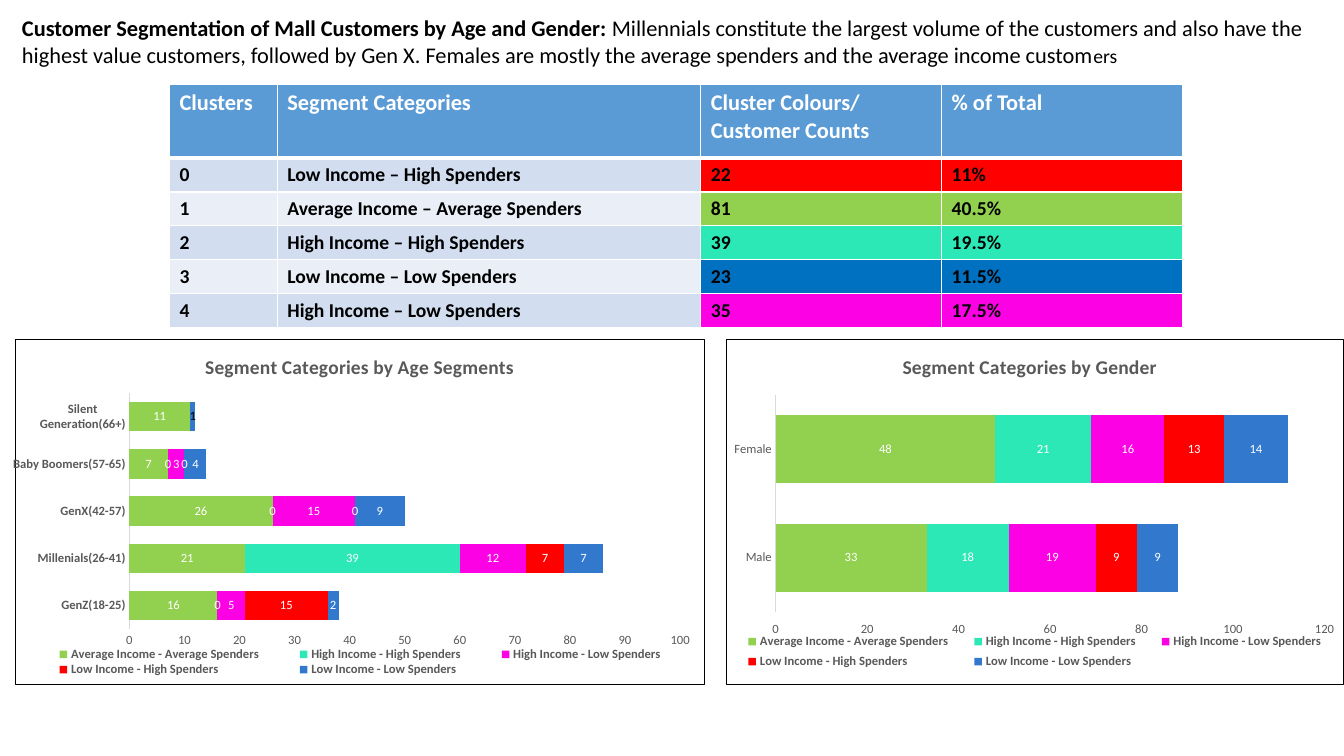
from dataclasses import dataclass

from pptx import Presentation
from pptx import util as u
from pptx.chart.data import CategoryChartData
from pptx.dml.color import RGBColor
from pptx.enum import chart as ch, text
from pptx.oxml import parse_xml
from pptx.oxml.ns import nsdecls, qn


@dataclass(frozen=True)
class Theme:
    font: str = "Calibri"
    black: str = "000000"
    white: str = "FFFFFF"
    grey: str = "595959"
    axis: str = "D9D9D9"
    header: str = "5B9BD5"
    bands: tuple = ("D2DEEF", "EAEFF7")
    green: str = "92D050"
    teal: str = "2CE8B7"
    pink: str = "FD01E5"
    red: str = "FF0000"
    blue: str = "3279CE"
    deep_blue: str = "0070C0"
    large: int = 16
    medium: int = 14
    small: int = 9


T = Theme()

HEADLINE = [
    ("Customer Segmentation of Mall Customers by Age and Gender: ", T.large, True),
    ("Millennials constitute the largest volume of the customers and also have the highest "
     "value customers, followed by Gen X. Females are mostly the average spenders and the "
     "average income custom", T.large, False),
    ("ers", T.medium, False),
]
HEADERS = ("Clusters", "Segment Categories", "Cluster Colours/ Customer Counts", "% of Total")
CLUSTERS = [
    ("0", "Low Income – High Spenders", "22", "11%", T.red),
    ("1", "Average Income – Average Spenders", "81", "40.5%", T.green),
    ("2", "High Income – High Spenders", "39", "19.5%", T.teal),
    ("3", "Low Income – Low Spenders", "23", "11.5%", T.deep_blue),
    ("4", "High Income – Low Spenders", "35", "17.5%", T.pink),
]
COL_WIDTHS = (2.72, 10.67, 6.07, 6.07)
HEADER_HEIGHT, ROW_HEIGHT = 1.85, 0.84

SEGMENTS = [
    ("Average Income - Average Spenders", T.green),
    ("High Income - High Spenders", T.teal),
    ("High Income - Low Spenders", T.pink),
    ("Low Income - High Spenders", T.red),
    ("Low Income - Low Spenders", T.blue),
]
GENDER = dict(
    title="Segment Categories by Gender", box=(18.29, 8.55, 15.57, 8.71),
    cats=("Female", "Male"),
    values=[(48, 33), (21, 18), (16, 19), (13, 9), (14, 9)],
    scale=(120, 20), bold_cats=False, reverse=True,
    title_at=(0.28, 0.03), plot=(0.08, 0.16, 0.89, 0.63), legend=(0, 0.84, 1, 0.13))
AGE = dict(
    title="Segment Categories by Age Segments", box=(0.33, 8.55, 17.43, 8.71),
    cats=("GenZ(18-25)", "Millenials(26-41)", "GenX(42-57)", "Baby Boomers(57-65)",
          "Silent Generation(66+)"),
    values=[(16, 21, 26, 7, 11), (0, 39, 0, 0, 0), (5, 12, 15, 3, 0), (15, 7, 0, 0, 0),
            (2, 7, 9, 4, 1)],
    scale=(100, 10), bold_cats=True, reverse=False,
    title_at=(0.27, 0.03), plot=(0.165, 0.155, 0.8, 0.685), legend=(0.01, 0.89, 0.98, 0.09))
SILENT = 4


def set_font(font, size, color, bold=False):
    for name, value in dict(name=T.font, size=u.Pt(size), bold=bold).items():
        setattr(font, name, value)
    font.color.rgb = RGBColor.from_string(color)


def set_layout(parent, index, fractions, inner=False):
    """Place a chart part by fractions of the chart area: x, y and optionally w, h."""
    for old in parent.findall(qn("c:layout")):
        parent.remove(old)
    target = '<c:layoutTarget val="inner"/>' if inner else ""
    modes = "".join(f'<c:{k}Mode val="edge"/>' for k in "xy")
    sizes = "".join(f'<c:{k} val="{v}"/>' for k, v in zip("xywh", fractions))
    parent.insert(index, parse_xml(
        f'<c:layout {nsdecls("c")}><c:manualLayout>{target}{modes}{sizes}'
        '</c:manualLayout></c:layout>'))


def add_headline(s):
    sp = s.shapes.title
    sp.left, sp.top, sp.width, sp.height = map(u.Cm, (0.3, 0.23, 32.92, 1.63))
    tf = sp.text_frame
    for name, value in dict(word_wrap=True, auto_size=text.MSO_AUTO_SIZE.NONE,
                            vertical_anchor=text.MSO_ANCHOR.TOP).items():
        setattr(tf, name, value)
    p = tf.paragraphs[0]
    p.alignment = text.PP_ALIGN.LEFT
    for words, size, bold in HEADLINE:
        r = p.add_run()
        r.text = words
        set_font(r.font, size, T.black, bold)


def set_borders(cell, row):
    thick = {"T": row == 1, "B": row == 0}
    for i, side in enumerate("LRTB"):
        width = u.Pt(3 if thick.get(side) else 1)
        cell._tc.get_or_add_tcPr().insert(i, parse_xml(
            f'<a:ln{side} {nsdecls("a")} w="{width}"><a:solidFill>'
            f'<a:srgbClr val="{T.white}"/></a:solidFill></a:ln{side}>'))


def add_cluster_table(s):
    rows = [(HEADERS, [T.header] * 4)]
    for i, (*words, color) in enumerate(CLUSTERS):
        rows.append((words, [T.bands[i % 2]] * 2 + [color] * 2))
    height = HEADER_HEIGHT + ROW_HEIGHT * len(CLUSTERS)
    table = s.shapes.add_table(len(rows), len(HEADERS), u.Cm(4.27), u.Cm(2.13),
                               u.Cm(sum(COL_WIDTHS)), u.Cm(height)).table
    for column, width in zip(table.columns, COL_WIDTHS):
        column.width = u.Cm(width)
    for i, (words, fills) in enumerate(rows):
        table.rows[i].height = u.Cm(ROW_HEIGHT if i else HEADER_HEIGHT)
        size, color = (T.medium, T.black) if i else (T.large, T.white)
        for j, (word, fill) in enumerate(zip(words, fills)):
            cell = table.cell(i, j)
            cell.text = word
            set_font(cell.text_frame.paragraphs[0].runs[0].font, size, color, True)
            cell.fill.solid()
            cell.fill.fore_color.rgb = RGBColor.from_string(fill)
            set_borders(cell, i)


def style_axes(chart, spec):
    cat, val = chart.category_axis, chart.value_axis
    val.maximum_scale, val.major_unit = spec["scale"]
    val.minimum_scale = 0
    for axis, bold in ((cat, spec["bold_cats"]), (val, False)):
        axis.has_major_gridlines = False
        axis.major_tick_mark = axis.minor_tick_mark = ch.XL_TICK_MARK.NONE
        set_font(axis.tick_labels.font, T.small, T.grey, bold)
    cat.format.line.color.rgb = RGBColor.from_string(T.axis)
    cat.format.line.width = u.Pt(0.75)
    val.format.line.fill.background()
    if spec["reverse"]:
        cat.reverse_order = True
        val.tick_label_position = ch.XL_TICK_LABEL_POSITION.HIGH


def style_series(series, color):
    series.format.fill.solid()
    series.format.fill.fore_color.rgb = RGBColor.from_string(color)
    labels = series.data_labels
    labels.show_value = True
    labels.position = ch.XL_LABEL_POSITION.CENTER
    set_font(labels.font, T.small, T.white)


def style_silent_labels(series):
    """Hide the zero labels of the oldest group and darken its narrow last one."""
    for item in list(series)[1:-1]:
        item.data_labels._element.insert(0, parse_xml(
            f'<c:dLbl {nsdecls("c")}><c:idx val="{SILENT}"/><c:delete val="1"/></c:dLbl>'))
    label = series[-1].points[SILENT].data_label
    set_font(label.font, T.small, T.black)
    label.position = ch.XL_LABEL_POSITION.CENTER


def add_segment_chart(s, spec):
    data = CategoryChartData()
    data.categories = spec["cats"]
    for (name, _), values in zip(SEGMENTS, spec["values"]):
        data.add_series(name, values)
    chart = s.shapes.add_chart(ch.XL_CHART_TYPE.BAR_STACKED, *map(u.Cm, spec["box"]), data).chart
    set_font(chart.font, 10, T.black)
    plot = chart.plots[0]
    for name, value in dict(gap_width=60, overlap=100, vary_by_categories=False).items():
        setattr(plot, name, value)
    for series, (_, color) in zip(plot.series, SEGMENTS):
        style_series(series, color)
    style_axes(chart, spec)

    title = chart.chart_title
    title.text_frame.text = spec["title"]
    set_font(title.text_frame.paragraphs[0].runs[0].font, T.medium, T.grey, True)
    set_layout(title._element, 1, spec["title_at"])
    chart.has_legend = True
    chart.legend.position = ch.XL_LEGEND_POSITION.BOTTOM
    chart.legend.include_in_layout = False
    set_font(chart.legend.font, T.small, T.grey, True)
    set_layout(chart.legend._element, 1, spec["legend"])

    body = chart._chartSpace.find(qn("c:chart"))
    set_layout(body.find(qn("c:plotArea")), 0, spec["plot"], inner=True)
    body.addnext(parse_xml(
        f'<c:spPr {nsdecls("c", "a")}><a:solidFill><a:srgbClr val="{T.white}"/></a:solidFill>'
        f'<a:ln w="{u.Pt(0.75)}"><a:solidFill><a:srgbClr val="{T.black}"/></a:solidFill>'
        '</a:ln></c:spPr>'))
    return chart


def main():
    prs = Presentation()
    prs.slide_width, prs.slide_height = u.Cm(33.87), u.Cm(19.05)
    s = prs.slides.add_slide(prs.slide_layouts[5])
    add_headline(s)
    add_segment_chart(s, GENDER)
    age_chart = add_segment_chart(s, AGE)
    style_silent_labels(age_chart.plots[0].series)
    add_cluster_table(s)
    prs.save("out.pptx")


if __name__ == "__main__":
    main()
